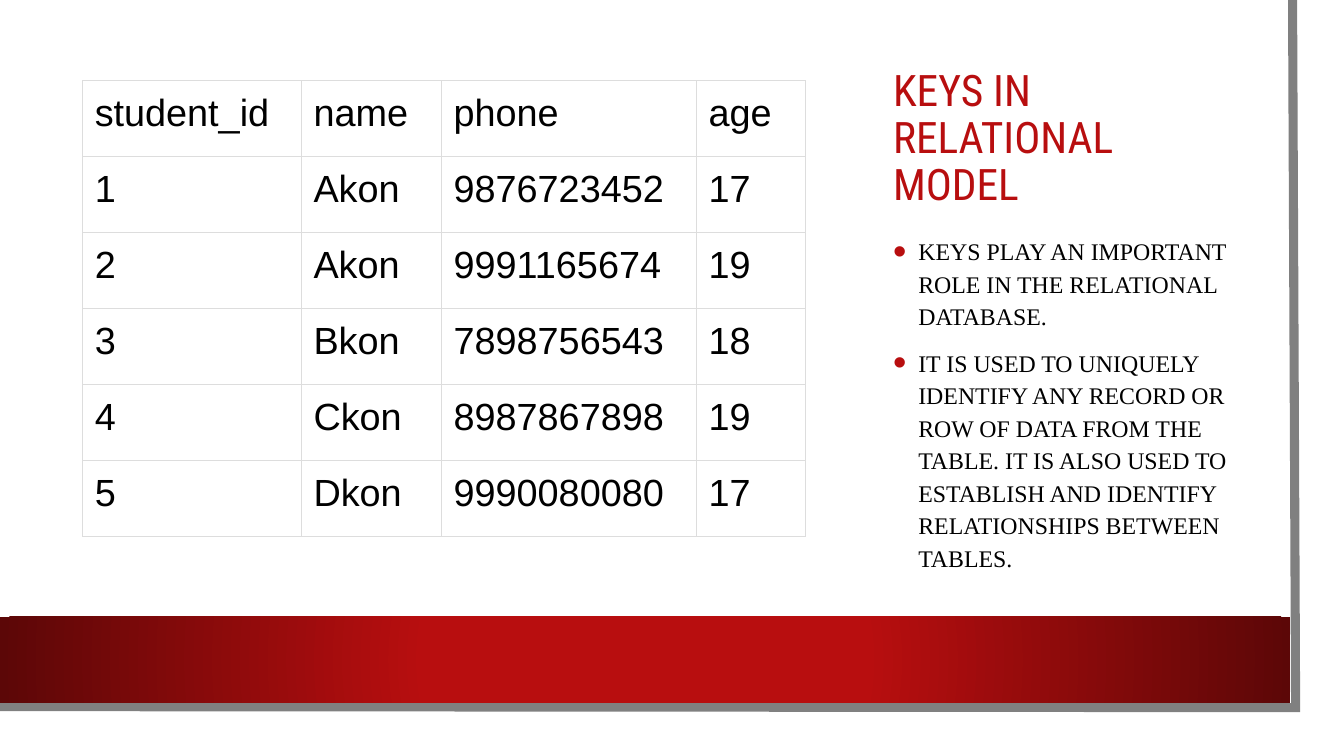
from dataclasses import dataclass

from lxml.etree import SubElement
from pptx import Presentation
from pptx.dml.color import RGBColor
from pptx.enum.shapes import MSO_SHAPE
from pptx.enum.text import MSO_ANCHOR
from pptx.oxml import parse_xml
from pptx.oxml.ns import nsdecls, qn
from pptx.util import Emu, Pt


@dataclass(frozen=True)
class Theme:
    """Colours, fonts and type sizes of the slide."""
    paper: str = "FFFFFF"
    ink: str = "000000"
    red: str = "B80E0F"
    dark: str = "5C0707"
    edge: str = "808080"
    rule: str = "DDDDDD"
    head_font: str = "Roboto Condensed"
    body_font: str = "Times New Roman"
    grid_font: str = "Arial"
    head_size: int = 31
    body_size: int = 17
    grid_size: int = 27


THEME = Theme()
SCALE = 9144
COLS = [217, 139, 253, 108]
ROWS = [
    ["student_id", "name", "phone", "age"],
    ["1", "Akon", "9876723452", "17"],
    ["2", "Akon", "9991165674", "19"],
    ["3", "Bkon", "7898756543", "18"],
    ["4", "Ckon", "8987867898", "19"],
    ["5", "Dkon", "9990080080", "17"],
]
POINTS = [
    "KEYS PLAY AN IMPORTANT ROLE IN THE RELATIONAL DATABASE.",
    "IT IS USED TO UNIQUELY IDENTIFY ANY RECORD OR ROW OF DATA FROM THE TABLE. "
    "IT IS ALSO USED TO ESTABLISH AND IDENTIFY RELATIONSHIPS BETWEEN TABLES.",
]


def px(*nums):
    """Turn px lengths into a list of EMU lengths."""
    return [Emu(num * SCALE) for num in nums]


def add_run(para, text, font, size, color):
    """Add one styled run to a paragraph."""
    run = para.add_run()
    run.text = text
    run.font.name = font
    run.font.size = Pt(size)
    run.font.color.rgb = RGBColor.from_string(color)


def add_rect(slide, box, color):
    """Add a plain filled rectangle."""
    rect = slide.shapes.add_shape(MSO_SHAPE.RECTANGLE, *px(*box))
    rect.shadow.inherit = False
    rect.fill.solid()
    rect.fill.fore_color.rgb = RGBColor.from_string(color)
    rect.line.fill.background()
    return rect


def add_edge(slide, dots):
    """Add the open grey outline along the right and bottom sides."""
    pen = slide.shapes.build_freeform(*dots[0], scale=SCALE)
    pen.add_line_segments(dots[1:], close=False)
    edge = pen.convert_to_shape()
    edge.shadow.inherit = False
    edge.fill.background()
    edge.line.color.rgb = RGBColor.from_string(THEME.edge)
    edge.line.width = Pt(6.5)
    SubElement(edge.line._get_or_add_ln(), qn("a:miter"), lim="800000")


def add_band(slide, box):
    """Add the red band that darkens outwards from its centre."""
    band = add_rect(slide, box, THEME.red)
    props = band._element.spPr
    stops = "".join(
        f'<a:gs pos="{pos}"><a:srgbClr val="{color}"/></a:gs>'
        for pos, color in [(34000, THEME.red), (100000, THEME.dark)])
    glow = parse_xml(
        f'<a:gradFill {nsdecls("a")}><a:gsLst>{stops}</a:gsLst>'
        '<a:path path="circle"><a:fillToRect l="50000" t="50000" '
        'r="50000" b="50000"/></a:path></a:gradFill>')
    props.replace(props.find(qn("a:solidFill")), glow)


def add_box(slide, box, anchor):
    """Add a wrapping text box and return its frame."""
    frame = slide.shapes.add_textbox(*px(*box)).text_frame
    frame.word_wrap = True
    frame.vertical_anchor = anchor
    return frame


def add_title(slide, box, text):
    """Add the slide heading."""
    para = add_box(slide, box, MSO_ANCHOR.MIDDLE).paragraphs[0]
    para.line_spacing = 0.9
    add_run(para, text, THEME.head_font, THEME.head_size, THEME.red)


def add_bullet(para):
    """Give a paragraph a hanging red bullet."""
    props = para._p.get_or_add_pPr()
    inset = px(25)[0]
    props.set("marL", str(inset))
    props.set("indent", str(-inset))
    tint = SubElement(props, qn("a:buClr"))
    SubElement(tint, qn("a:srgbClr"), val=THEME.red)
    SubElement(props, qn("a:buSzPct"), val="160000")
    SubElement(props, qn("a:buFont"), typeface=THEME.grid_font)
    SubElement(props, qn("a:buChar"), char="•")


def add_list(slide, box, points):
    """Add the bulleted points."""
    frame = add_box(slide, box, MSO_ANCHOR.TOP)
    for spot, text in enumerate(points):
        para = frame.add_paragraph() if spot else frame.paragraphs[0]
        add_bullet(para)
        para.line_spacing = 1.14
        if spot:
            para.space_before = Pt(10)
        add_run(para, text, THEME.body_font, THEME.body_size, THEME.ink)


def add_rules(cell):
    """Draw thin rules on all four sides of a cell."""
    props = cell._tc.get_or_add_tcPr()
    for spot, side in enumerate(("lnL", "lnR", "lnT", "lnB")):
        props.insert(spot, parse_xml(
            f'<a:{side} {nsdecls("a")} w="{Pt(0.75)}"><a:solidFill>'
            f'<a:srgbClr val="{THEME.rule}"/></a:solidFill></a:{side}>'))


def fill_cell(cell, text):
    """Style one cell and write its text."""
    cell.fill.background()
    add_rules(cell)
    inset = px(12)[0]
    cell.margin_left = cell.margin_right = inset
    cell.margin_top = cell.margin_bottom = inset
    para = cell.text_frame.paragraphs[0]
    add_run(para, text, THEME.grid_font, THEME.grid_size, THEME.ink)


def add_grid(slide, left, top, high, cols, rows):
    """Add the table with equal row heights."""
    box = px(left, top, sum(cols), high)
    grid = slide.shapes.add_table(len(rows), len(cols), *box).table
    grid.first_row = False
    grid.horz_banding = False
    for col, wide in zip(grid.columns, px(*cols)):
        col.width = wide
    for row, texts in zip(grid.rows, rows):
        row.height = Emu(box[3] // len(rows))
        for cell, text in zip(row.cells, texts):
            fill_cell(cell, text)


def main():
    """Build the slide and save it."""
    deck = Presentation()
    deck.slide_width, deck.slide_height = px(1333, 750)
    slide = deck.slides.add_slide(deck.slide_layouts[6])
    add_rect(slide, (0, 0, 1310, 727), THEME.paper)
    add_edge(slide, [(1282, 0), (1285, 702), (-3, 701)])
    add_band(slide, (0, 612, 1280, 85))
    add_title(slide, (876, 75, 336, 126), "KEYS IN RELATIONAL MODEL")
    add_list(slide, (876, 226, 403, 336), POINTS)
    add_grid(slide, 82, 80, 452, COLS, ROWS)
    deck.save("out.pptx")


if __name__ == "__main__":
    main()
